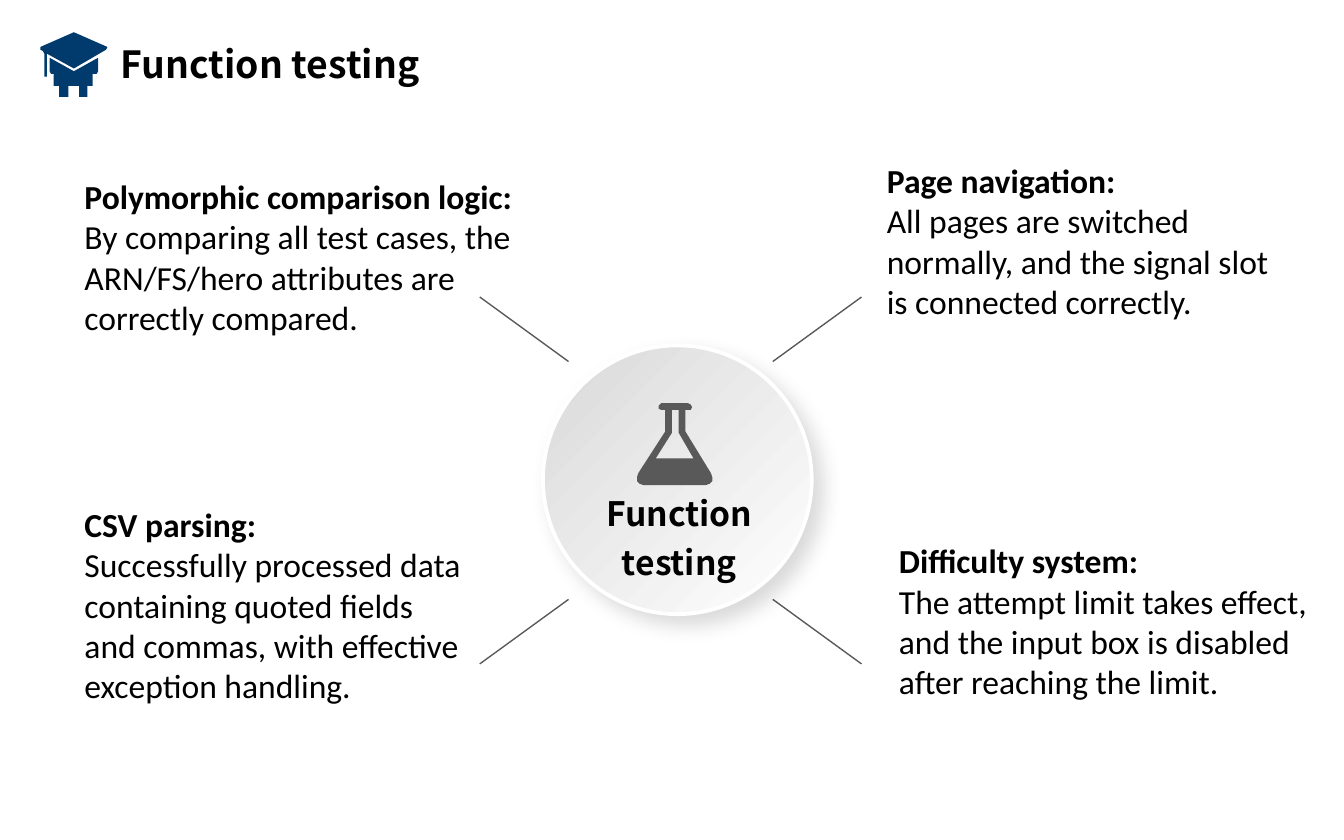
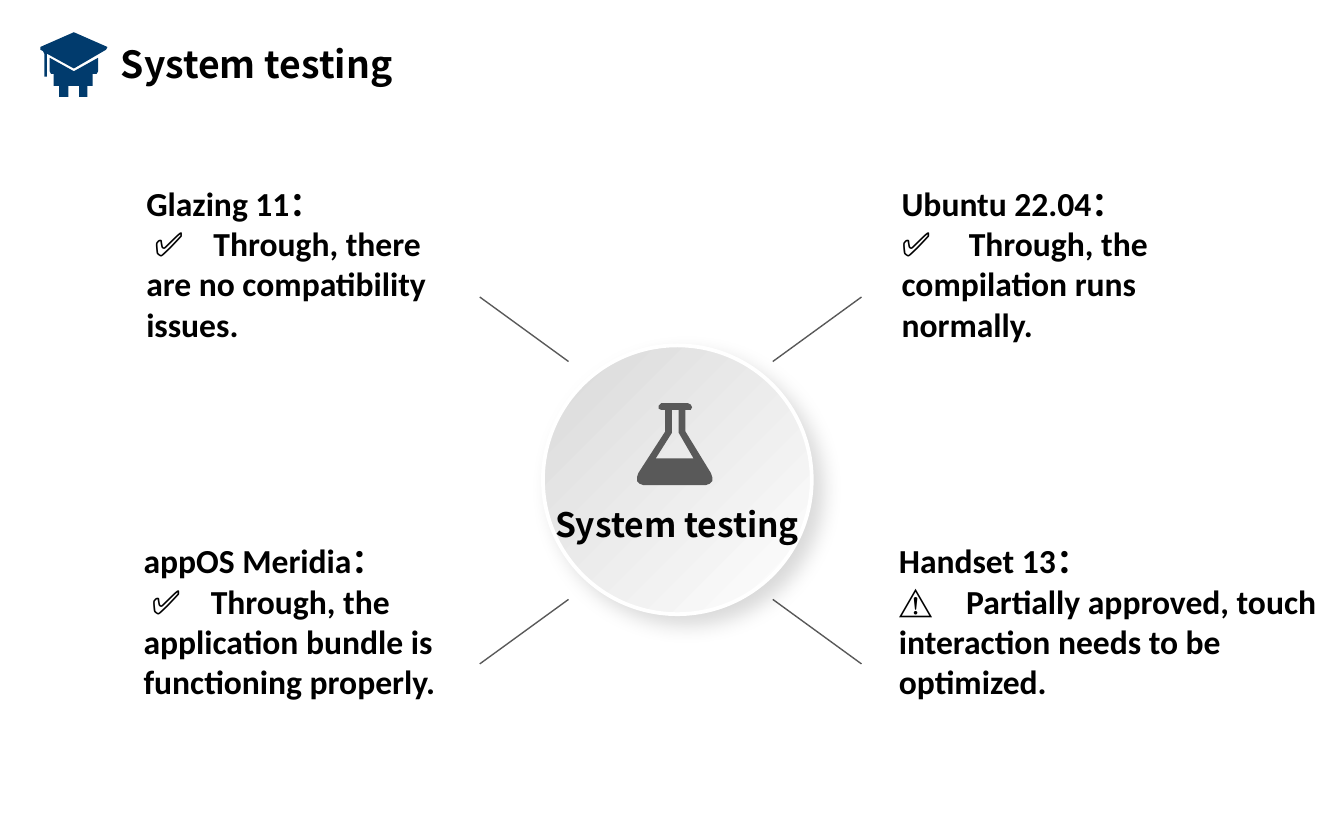
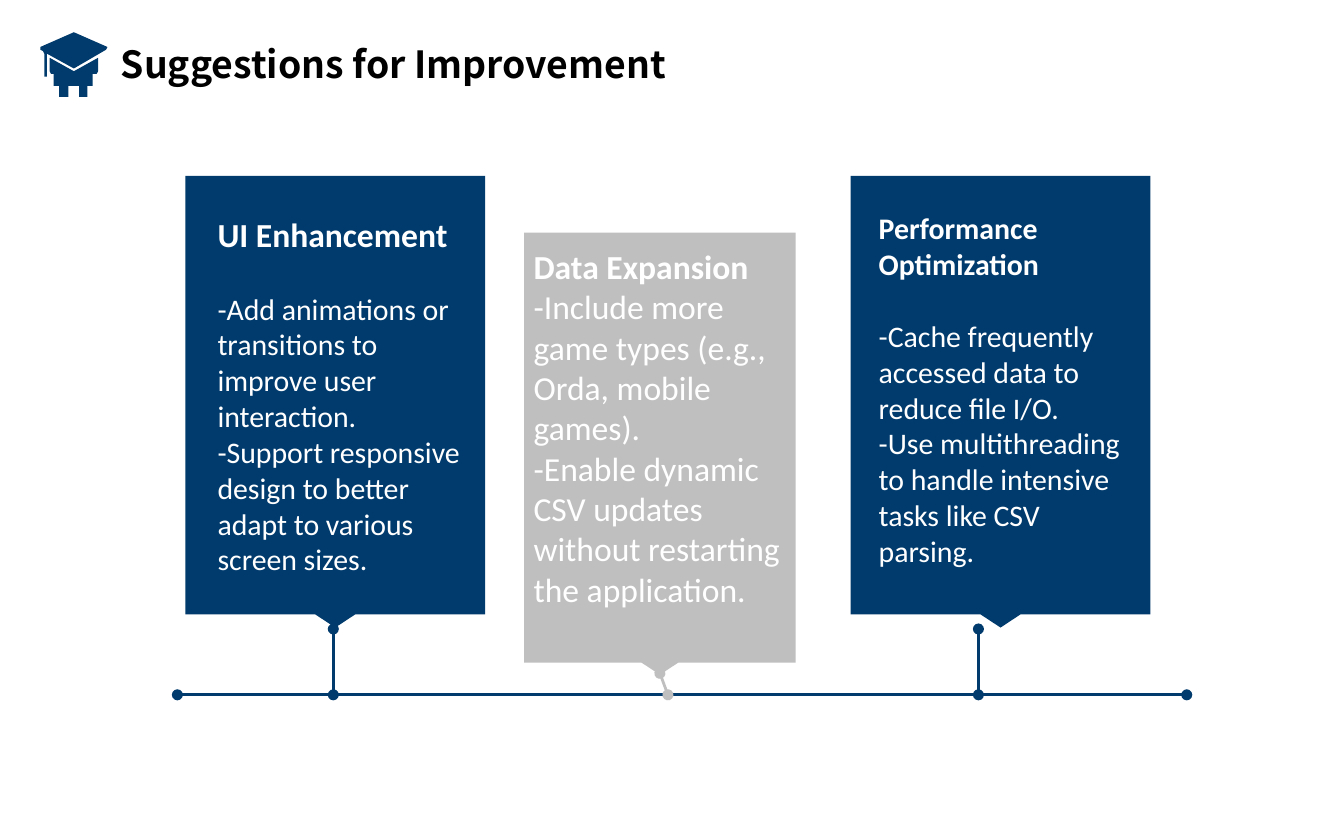
from itertools import product

from lxml.etree import SubElement
from pptx import Presentation
from pptx.dml.color import RGBColor
from pptx.enum.shapes import MSO_CONNECTOR, MSO_SHAPE
from pptx.enum.text import MSO_ANCHOR, MSO_AUTO_SIZE, PP_ALIGN
from pptx.oxml.ns import qn
from pptx.util import Emu, Inches, Pt

SLIDE_WIDTH, SLIDE_HEIGHT = Inches(10), Inches(6.25)
CELL = SLIDE_WIDTH // 100  # square grid: 100 columns by 62.5 rows
COLORS = {"navy": "013B6D", "silver": "BFBFBF", "gray": "595959",
          "pale": "D9D9D9", "white": "FFFFFF", "black": "000000"}
TITLE_FONT, BODY_FONT = "Noto Sans CJK SC", "Calibri"
CALLOUT_ADJUSTMENTS = (0.25, 0.067, 0.044, 0.975)

# Outlines, in tenths of a grid cell
CAP_TOP = [[(30, 37), (32, 38), (33, 40), (33, 57), (35, 57), (35, 40),
            (55, 51), (79, 37), (80, 35), (55, 24), (30, 35)]]
CAP_BASE = [[(69, 55), (72, 55), (73, 53), (73, 43), (55, 53), (37, 43),
             (37, 53), (38, 55), (40, 55), (40, 64), (44, 64), (44, 72),
             (51, 72), (51, 64), (59, 64), (59, 72), (65, 72), (65, 64),
             (69, 64)]]
FLASK = [[(492, 300), (512, 300), (514, 301), (515, 303), (514, 305),
          (510, 305), (510, 321), (529, 352), (530, 355), (530, 358),
          (528, 360), (525, 361), (479, 361), (476, 360), (474, 358),
          (474, 355), (475, 352), (495, 321), (495, 305), (492, 305),
          (490, 304), (490, 302)],
         [(500, 305), (500, 322), (488, 341), (516, 341), (505, 322),
          (505, 305)]]


def color(name):
    return RGBColor.from_string(COLORS[name])


def grid(*lengths):
    return [Emu(round(length * CELL)) for length in lengths]


def apply(target, formats):
    for name, value in formats.items():
        setattr(target, name, value)


def paint(shape, fill):
    shape.shadow.inherit = False
    shape.fill.solid()
    shape.fill.fore_color.rgb = color(fill)
    shape.line.fill.background()


def add_outline(slide, contours, fill):
    builder = None
    for contour in contours:
        if builder is None:
            builder = slide.shapes.build_freeform(*contour[0], scale=CELL / 10)
        else:
            builder.move_to(*contour[0])
        builder.add_line_segments(contour[1:], close=True)
    paint(builder.convert_to_shape(), fill)


def write(shape, paragraphs, size=18, font=BODY_FONT, fill="black",
          frame=None, layout=None):
    """Fill a shape; each paragraph is a list of (text, bold) runs."""
    text_frame = shape.text_frame
    apply(text_frame, {"word_wrap": True, **(frame or {})})
    for index, runs in enumerate(paragraphs):
        paragraph = text_frame.add_paragraph() if index else text_frame.paragraphs[0]
        apply(paragraph, {"alignment": PP_ALIGN.LEFT, **(layout or {})})
        for text, bold in runs:
            run = paragraph.add_run()
            run.text = text
            apply(run.font, {"size": Pt(size), "name": font, "bold": bold})
            run.font.color.rgb = color(fill)
    return text_frame


def add_text(slide, box, paragraphs, frame=None, **style):
    shape = slide.shapes.add_textbox(*grid(*box))
    fit = {"auto_size": MSO_AUTO_SIZE.SHAPE_TO_FIT_TEXT, **(frame or {})}
    return write(shape, paragraphs, frame=fit, **style)


def add_line(slide, start, end, stroke, width, dots=False):
    line = slide.shapes.add_connector(MSO_CONNECTOR.STRAIGHT, *grid(*start, *end))
    line.line.color.rgb = color(stroke)
    line.line.width = Pt(width)
    if dots:
        for tag in ("a:headEnd", "a:tailEnd"):
            SubElement(line.line._get_or_add_ln(), qn(tag), type="oval")
    SubElement(line._element.spPr, qn("a:effectLst"))


def add_title(slide, title, width=38.1):
    add_outline(slide, CAP_TOP, "navy")
    add_outline(slide, CAP_BASE, "navy")
    add_text(slide, (8, 2.6, width, 4.4), [[(title, True)]], size=20, font=TITLE_FONT)


def add_soft_shadow(shape):
    shape.shadow.inherit = False
    effects = shape._element.spPr.find(qn("a:effectLst"))
    shadow = SubElement(effects, qn("a:outerShdw"), blurRad=str(Pt(11)),
                        dist=str(Pt(7)), dir="2700000", algn="tl", rotWithShape="0")
    shade = SubElement(shadow, qn("a:srgbClr"), val=COLORS["black"])
    SubElement(shade, qn("a:alpha"), val="14000")


def add_hub(slide, label, label_box, layout):
    """Four spokes around a disc with a flask and a label."""
    for side, level in product((-1, 1), (-1, 1)):
        inner, outer = [(49.9 + side * x, 35.75 + level * y)
                        for x, y in ((7.6, 8.85), (14.2, 13.65))]
        add_line(slide, inner, outer, "gray", 0.75)
    disc = slide.shapes.add_shape(MSO_SHAPE.OVAL, *grid(40.4, 25.7, 20, 20))
    disc.fill.gradient()
    disc.fill.gradient_angle = 135
    for stop, name in zip(disc.fill.gradient_stops, ("white", "pale")):
        stop.color.rgb = color(name)
    disc.line.color.rgb = color("white")
    disc.line.width = Pt(2)
    add_soft_shadow(disc)
    add_outline(slide, FLASK, "gray")
    margins = {f"margin_{side}": 0 for side in ("left", "top", "right", "bottom")}
    add_text(slide, label_box, [[(label, True)]], font=TITLE_FONT, layout=layout,
             frame={"vertical_anchor": MSO_ANCHOR.MIDDLE, **margins})


def headed(heading, *lines):
    return [[(heading, True)]] + [[(line, False)] for line in lines]


def add_verdict(slide, box, system, mark, result, indent, tab):
    """A system name above a marked result; indent and tab in grid cells."""
    text_frame = add_text(slide, box, [[(system, True)], [(f"{mark}\t{result}", True)]])
    properties = text_frame.paragraphs[1]._p.get_or_add_pPr()
    first_line, stop = grid(indent, tab)
    properties.set("marL", "0")
    properties.set("indent", str(first_line))
    tabs = SubElement(properties, qn("a:tabLst"))
    SubElement(tabs, qn("a:tab"), pos=str(stop), algn="l")


def add_callout(slide, box, fill):
    callout = slide.shapes.add_shape(MSO_SHAPE.DOWN_ARROW_CALLOUT, *grid(*box))
    for index, value in enumerate(CALLOUT_ADJUSTMENTS):
        callout.adjustments[index] = value
    paint(callout, fill)
    return callout


def build_function_testing(slide):
    add_title(slide, "Function testing")
    add_hub(slide, "Function testing", (42.6, 36.2, 15.9, 7),
            {"alignment": PP_ALIGN.CENTER, "line_spacing": 1.2})
    notes = [
        ((5.3, 12.6, 35.1, 13.1),
         [[("Polymorphic comparison logic: ", True),
           ("By comparing all test cases, the ARN/FS/hero attributes are "
            "correctly compared.", False)]]),
        ((65, 11.4, 32.5, 13.1),
         headed("Page navigation:", "All pages are switched normally, and the "
                "signal slot is connected correctly.")),
        ((5.3, 37, 30.2, 16.2),
         headed("CSV parsing:", "Successfully processed data containing quoted "
                "fields and commas, with effective exception handling.")),
        ((65.9, 39.7, 34, 13.1),
         headed("Difficulty system:", "The attempt limit takes effect, and the "
                "input box is disabled after reaching the limit.")),
    ]
    for box, paragraphs in notes:
        add_text(slide, box, paragraphs)


def build_system_testing(slide):
    add_title(slide, "System testing")
    add_hub(slide, "System testing", (41.3, 37.5, 20, 3), {})
    verdicts = [
        ((9.9, 13.1, 25, 13.1), "Glazing 11：", "✅",
         "Through, there are no compatibility issues.", 0.6, 3.9),
        ((66.1, 13.1, 29.1, 13.1), "Ubuntu 22.04：", "✅",
         "Through, the compilation runs normally.", 0, 3.3),
        ((9.7, 39.7, 30.2, 13.1), "appOS Meridia：", "✅",
         "Through, the application bundle is functioning properly.", 0.6, 3.9),
        ((65.9, 39.7, 34, 13.1), "Handset 13：", "⚠",
         "Partially approved, touch interaction needs to be optimized.", 0, 3.6),
    ]
    for verdict in verdicts:
        add_verdict(slide, *verdict)


def build_suggestions(slide):
    for left in (13.8, 63.3):
        add_callout(slide, (left, 13.1, 22.3, 33.6), "navy")
    data_card = add_callout(slide, (39, 17.3, 20.2, 32.9), "silver")
    write(data_card,
          headed("Data Expansion",
                 "-Include more game types (e.g., Orda, mobile games).",
                 "-Enable dynamic CSV updates without restarting the application."),
          fill="white",
          frame={"vertical_anchor": MSO_ANCHOR.MIDDLE,
                 "margin_left": Inches(0.07), "margin_right": Inches(0.07),
                 "margin_top": Inches(0.04), "margin_bottom": Inches(0.34)})

    axis = 51.7
    add_line(slide, (13.2, axis), (88.3, axis), "navy", 1.5, dots=True)
    for top, foot, stroke in (((24.8, 46.8), 24.8, "navy"),
                              ((72.8, 46.8), 72.8, "navy"),
                              ((49.1, 50.1), 49.7, "silver")):
        add_line(slide, top, (foot, axis), stroke, 1.5, dots=True)

    add_title(slide, "Suggestions for Improvement", 46.8)
    cards = [
        ((15.2, 15.4, 20.2, 28.3), 18,
         headed("UI Enhancement",
                "-Add animations or transitions to improve user interaction.",
                "-Support responsive design to better adapt to various screen sizes.")),
        ((64.4, 15.1, 20.4, 27.9), 16,
         headed("Performance Optimization",
                "-Cache frequently accessed data to reduce file I/O.",
                "-Use multithreading to handle intensive tasks like CSV parsing.")),
    ]
    for box, heading_size, paragraphs in cards:
        text_frame = add_text(slide, box, paragraphs, size=16, fill="white")
        heading, first_item = text_frame.paragraphs[:2]
        heading.runs[0].font.size = Pt(heading_size)
        first_item.space_before = Pt(19.5)


def main():
    presentation = Presentation()
    apply(presentation, {"slide_width": SLIDE_WIDTH, "slide_height": SLIDE_HEIGHT})
    for build in (build_function_testing, build_system_testing, build_suggestions):
        build(presentation.slides.add_slide(presentation.slide_layouts[6]))
    presentation.save("out.pptx")


if __name__ == "__main__":
    main()
